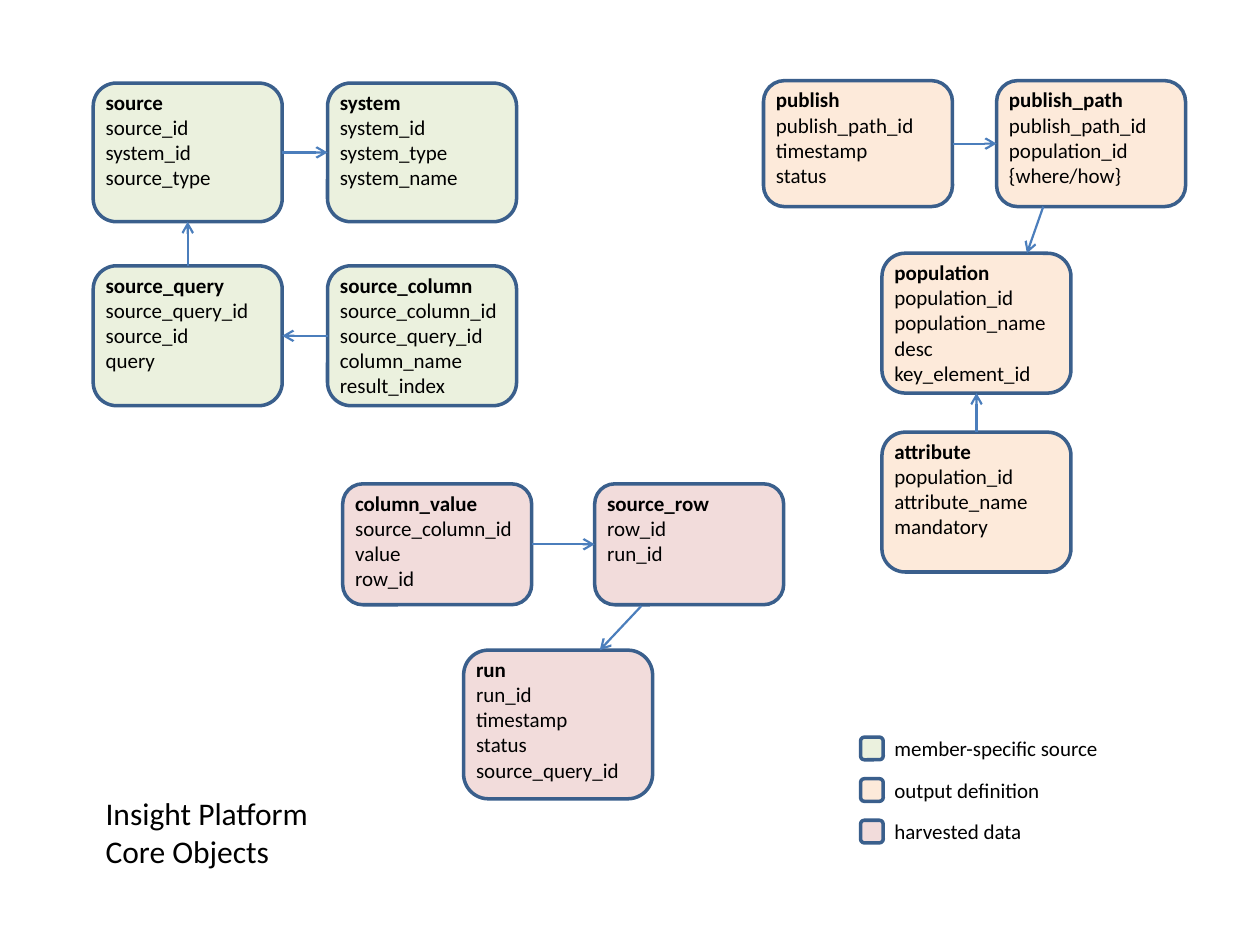
import pptx
import pptx.dml.color
import pptx.enum.shapes
import pptx.enum.text
import pptx.util
from lxml import etree

COLORS = {
    "source": "EBF1DE",
    "output": "FDEADA",
    "harvest": "F2DCDB",
    "outline": "3A5F8C",
    "arrow": "4B7EBC",
    "text": "000000",
}
FONT = "Calibri"
COLUMNS, ROWS = 100, 75  # grid cells across and down the slide
CARD_WIDTH = 15
TOP, LEFT, BOTTOM, RIGHT = range(4)  # connection sites of a card

# name: (kind, column, row, height, fields)
CARDS = {
    "source": ("source", 7.4, 6.6, 11, ["source_id", "system_id", "source_type"]),
    "system": ("source", 26, 6.6, 11, ["system_id", "system_type", "system_name"]),
    "source_query": ("source", 7.4, 21.1, 11.1, ["source_query_id", "source_id", "query"]),
    "source_column": ("source", 26, 21.1, 11.1,
                      ["source_column_id", "source_query_id", "column_name", "result_index"]),
    "publish": ("output", 60.6, 6.4, 10, ["publish_path_id", "timestamp", "status"]),
    "publish_path": ("output", 79.1, 6.4, 10,
                     ["publish_path_id", "population_id", "{where/how}"]),
    "population": ("output", 70, 20.1, 11.1,
                   ["population_id", "population_name", "desc", "key_element_id"]),
    "attribute": ("output", 70, 34.3, 11.1, ["population_id", "attribute_name", "mandatory"]),
    "column_value": ("harvest", 27.2, 38.4, 9.6, ["source_column_id", "value", "row_id"]),
    "source_row": ("harvest", 47.2, 38.4, 9.6, ["row_id", "run_id"]),
    "run": ("harvest", 36.8, 51.6, 11.8, ["run_id", "timestamp", "status", "source_query_id"]),
}
LINKS = [
    ("source", RIGHT, "system", LEFT),
    ("source_query", TOP, "source", BOTTOM),
    ("source_column", LEFT, "source_query", RIGHT),
    ("publish", RIGHT, "publish_path", LEFT),
    ("attribute", TOP, "population", BOTTOM),
    ("column_value", RIGHT, "source_row", LEFT),
]
SLANTED_ARROWS = [((82.8, 16.4), (81.5, 20.1)), ((50.9, 48.1), (47.6, 51.6))]
LEGEND = [
    ("source", "member-specific source"),
    ("output", "output definition"),
    ("harvest", "harvested data"),
]


class Diagram:
    def __init__(self, deck):
        self.deck = deck
        self.page = deck.slides.add_slide(deck.slide_layouts[6])

    def grid(self, *lengths):
        """Turn alternating columns and rows into slide lengths."""
        units = (self.deck.slide_width / COLUMNS, self.deck.slide_height / ROWS)
        return [round(length * units[i % 2]) for i, length in enumerate(lengths)]

    def color(self, name):
        return pptx.dml.color.RGBColor.from_string(COLORS[name])

    def panel(self, kind, column, row, width, height):
        shape = self.page.shapes.add_shape(
            pptx.enum.shapes.MSO_SHAPE.ROUNDED_RECTANGLE,
            *self.grid(column, row, width, height))
        shape.shadow.inherit = False
        shape.fill.solid()
        shape.fill.fore_color.rgb = self.color(kind)
        shape.line.color.rgb = self.color("outline")
        shape.line.width = pptx.util.Pt(2)
        return shape

    def text(self, lines, column, row, width, height, size=12, bold_first=False, wrap=True):
        box = self.page.shapes.add_textbox(*self.grid(column, row, width, height))
        frame = box.text_frame
        frame.text = "\n".join(lines)
        frame.word_wrap = wrap
        frame.auto_size = pptx.enum.text.MSO_AUTO_SIZE.SHAPE_TO_FIT_TEXT
        for index, para in enumerate(frame.paragraphs):
            for span in para.runs:
                span.font.name = FONT
                span.font.size = pptx.util.Pt(size)
                span.font.bold = bold_first and index == 0
                span.font.color.rgb = self.color("text")

    def card(self, name, kind, column, row, height, fields):
        shape = self.panel(kind, column, row, CARD_WIDTH, height)
        lines = [name, *fields]
        self.text(lines, column, row, CARD_WIDTH, 1.1 + 2 * len(lines), bold_first=True)
        return shape

    def arrow(self, start=(0, 0), end=(0, 0)):
        line = self.page.shapes.add_connector(
            pptx.enum.shapes.MSO_CONNECTOR.STRAIGHT, *self.grid(*start, *end))
        line.line.color.rgb = self.color("arrow")
        line.line.width = pptx.util.Pt(1.25)
        namespace = pptx.oxml.ns.qn
        etree.SubElement(line.line._get_or_add_ln(), namespace("a:tailEnd"), type="arrow")
        etree.SubElement(line._element.spPr, namespace("a:effectLst"))
        return line

    def link(self, first, first_side, second, second_side):
        line = self.arrow()
        line.begin_connect(first, first_side)
        line.end_connect(second, second_side)


def main():
    deck = pptx.Presentation()
    deck.slide_width = pptx.util.Inches(10)
    deck.slide_height = pptx.util.Inches(7.5)
    diagram = Diagram(deck)

    # Object cards
    cards = {name: diagram.card(name, *details) for name, details in CARDS.items()}

    # References between the cards
    for first, first_side, second, second_side in LINKS:
        diagram.link(cards[first], first_side, cards[second], second_side)
    for start, end in SLANTED_ARROWS:
        diagram.arrow(start, end)

    # Legend
    for index, (kind, label) in enumerate(LEGEND):
        row = 57.9 + 3.3 * index
        diagram.panel(kind, 68.3, row + 0.6, 1.8, 1.8)
        diagram.text([label], 70, row, 26, 3)

    # Title
    diagram.text(["Insight Platform", "Core Objects"], 7.4, 62.5, 18.3, 7.1, size=18, wrap=False)

    deck.save("out.pptx")


if __name__ == "__main__":
    main()
